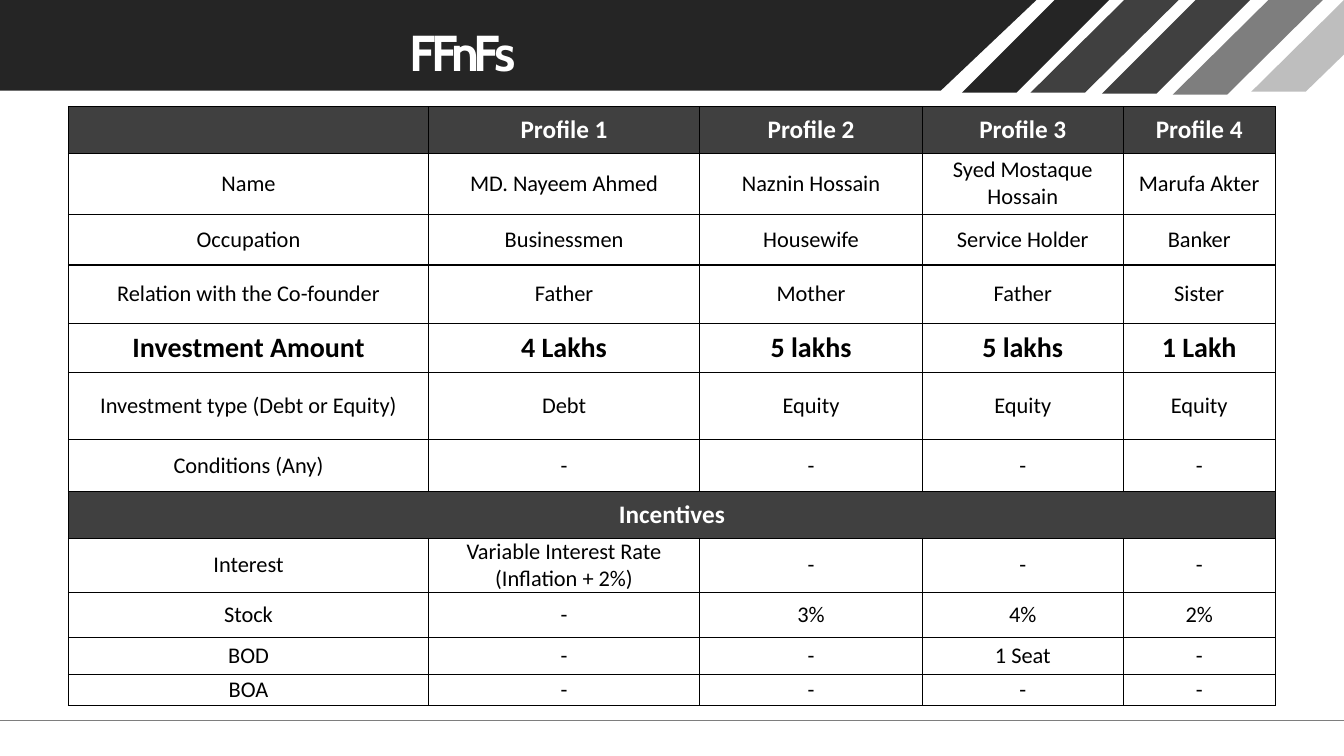
from lxml import etree
from pptx import Presentation
from pptx import util as u
from pptx.dml.color import RGBColor
from pptx.enum import shapes, text
from pptx.oxml.ns import qn

# Content
TITLE = "FFnFs"
ROWS = [
    ["", "Profile 1", "Profile 2", "Profile 3", "Profile 4"],
    ["Name", "MD. Nayeem Ahmed", "Naznin Hossain", "Syed Mostaque Hossain", "Marufa Akter"],
    ["Occupation", "Businessmen", "Housewife", "Service Holder", "Banker"],
    ["Relation with the Co-founder", "Father", "Mother", "Father", "Sister"],
    ["Investment Amount", "4 Lakhs", "5 lakhs", "5 lakhs", "1 Lakh"],
    ["Investment type (Debt or Equity)", "Debt", "Equity", "Equity", "Equity"],
    ["Conditions (Any)", "-", "-", "-", "-"],
    ["Incentives"],
    ["Interest", "Variable Interest Rate (Inflation + 2%)", "-", "-", "-"],
    ["Stock", "-", "3%", "4%", "2%"],
    ["BOD", "-", "-", "1 Seat", "-"],
    ["BOA", "-", "-", "-", "-"],
]
HEADER_ROW, AMOUNT_ROW, INCENTIVES_ROW = 0, 4, 7
COLUMN_WIDTHS = [3.57, 2.69, 2.21, 1.99, 1.51]
ROW_HEIGHTS = [0.46, 0.61, 0.5, 0.58, 0.49, 0.66, 0.52, 0.46, 0.54, 0.45, 0.36, 0.31]

COLORS = {
    "banner": "252525",
    "dark": "404040",
    "mid": "7E7E7E",
    "light": "BEBEBE",
    "white": "FFFFFF",
    "black": "000000",
}
# Slanted stripes: bottom left, top right, height, colour
STRIPES = [
    (9.54, 11.0, 0.92, "banner"),
    (10.22, 11.69, 0.92, "dark"),
    (10.93, 12.4, 0.93, "dark"),
    (11.63, 13.12, 0.94, "mid"),
]
STRIPE_WIDTH = 0.54
SLIDE_WIDTH, SLIDE_HEIGHT = 13.33, 7.5


def rgb(name):
    return RGBColor.from_string(COLORS[name])


def add_outline(page, points, color):
    corners = [(u.Inches(x), u.Inches(y)) for x, y in points]
    builder = page.shapes.build_freeform(*corners[0])
    builder.add_line_segments(corners[1:], close=True)
    outline = builder.convert_to_shape()
    outline.shadow.inherit = False
    outline.fill.solid()
    outline.fill.fore_color.rgb = rgb(color)
    outline.line.fill.background()


def style_font(font, name, size, color, bold):
    font.name, font.size, font.bold = name, u.Pt(size), bold
    font.color.rgb = rgb(color)


def add_borders(cell):
    properties = cell._tc.get_or_add_tcPr()
    for index, side in enumerate(("lnL", "lnR", "lnT", "lnB")):
        border = etree.Element(qn(f"a:{side}"), w=str(u.Pt(1)))
        fill = etree.SubElement(border, qn("a:solidFill"))
        etree.SubElement(fill, qn("a:srgbClr"), val=COLORS["black"])
        properties.insert(index, border)


def add_banner(page):
    add_outline(page, [(10.28, 0), (0, 0), (0, 0.9), (9.33, 0.9)], "banner")
    for left, right, height, color in STRIPES:
        add_outline(page, [(right, 0), (right - STRIPE_WIDTH, 0),
                           (left, height), (left + STRIPE_WIDTH, height)], color)
    add_outline(page, [(SLIDE_WIDTH, 0), (12.41, 0.91), (12.95, 0.91),
                       (SLIDE_WIDTH, 0.54)], "light")


def add_title(page):
    box = page.shapes.add_textbox(u.Inches(0.53), u.Inches(0.2), u.Inches(8.29), u.Inches(0.65))
    frame = box.text_frame
    frame.word_wrap = True
    frame.margin_left, frame.margin_top = u.Inches(3.53), u.Inches(0.01)
    frame.margin_right = frame.margin_bottom = 0
    frame.text = TITLE
    span = frame.paragraphs[0].runs[0]
    style_font(span.font, "Cabin", 36, "white", True)
    span._r.get_or_add_rPr().set("spc", "-320")


def add_footer_rule(page):
    y = u.Inches(7.15)
    rule = page.shapes.add_connector(shapes.MSO_CONNECTOR.STRAIGHT, 0, y, u.Inches(SLIDE_WIDTH), y)
    rule.line.color.rgb = rgb("mid")
    rule.line.width = u.Pt(0.72)
    etree.SubElement(rule._element.spPr, qn("a:effectLst"))


def add_profiles(page):
    table = page.shapes.add_table(
        len(ROWS), len(COLUMN_WIDTHS), u.Inches(0.68), u.Inches(1.06),
        u.Inches(sum(COLUMN_WIDTHS)), u.Inches(sum(ROW_HEIGHTS))).table
    for column, width in zip(table.columns, COLUMN_WIDTHS):
        column.width = u.Inches(width)
    for row, height in zip(table.rows, ROW_HEIGHTS):
        row.height = u.Inches(height)
    table.cell(INCENTIVES_ROW, 0).merge(table.cell(INCENTIVES_ROW, len(COLUMN_WIDTHS) - 1))

    for r, words in enumerate(ROWS):
        heading = r in (HEADER_ROW, INCENTIVES_ROW)
        size = 18 if heading else 20 if r == AMOUNT_ROW else 16
        for c in range(len(COLUMN_WIDTHS)):
            cell = table.cell(r, c)
            cell.fill.solid()
            cell.fill.fore_color.rgb = rgb("dark" if heading else "white")
            add_borders(cell)
            cell.margin_top = cell.margin_bottom = 0
            cell.vertical_anchor = text.MSO_ANCHOR.MIDDLE
            if c >= len(words):
                continue
            para = cell.text_frame.paragraphs[0]
            para.text = words[c]
            para.alignment = text.PP_ALIGN.CENTER
            para.line_spacing = u.Pt(19.2) if size == 16 else 1.0
            for span in para.runs:
                style_font(span.font, "Calibri", size,
                           "white" if heading else "black", heading or r == AMOUNT_ROW)


def main():
    deck = Presentation()
    deck.slide_width, deck.slide_height = u.Inches(SLIDE_WIDTH), u.Inches(SLIDE_HEIGHT)
    page = deck.slides.add_slide(deck.slide_layouts[6])
    add_banner(page)
    add_title(page)
    add_footer_rule(page)
    add_profiles(page)
    deck.save("out.pptx")


if __name__ == "__main__":
    main()
